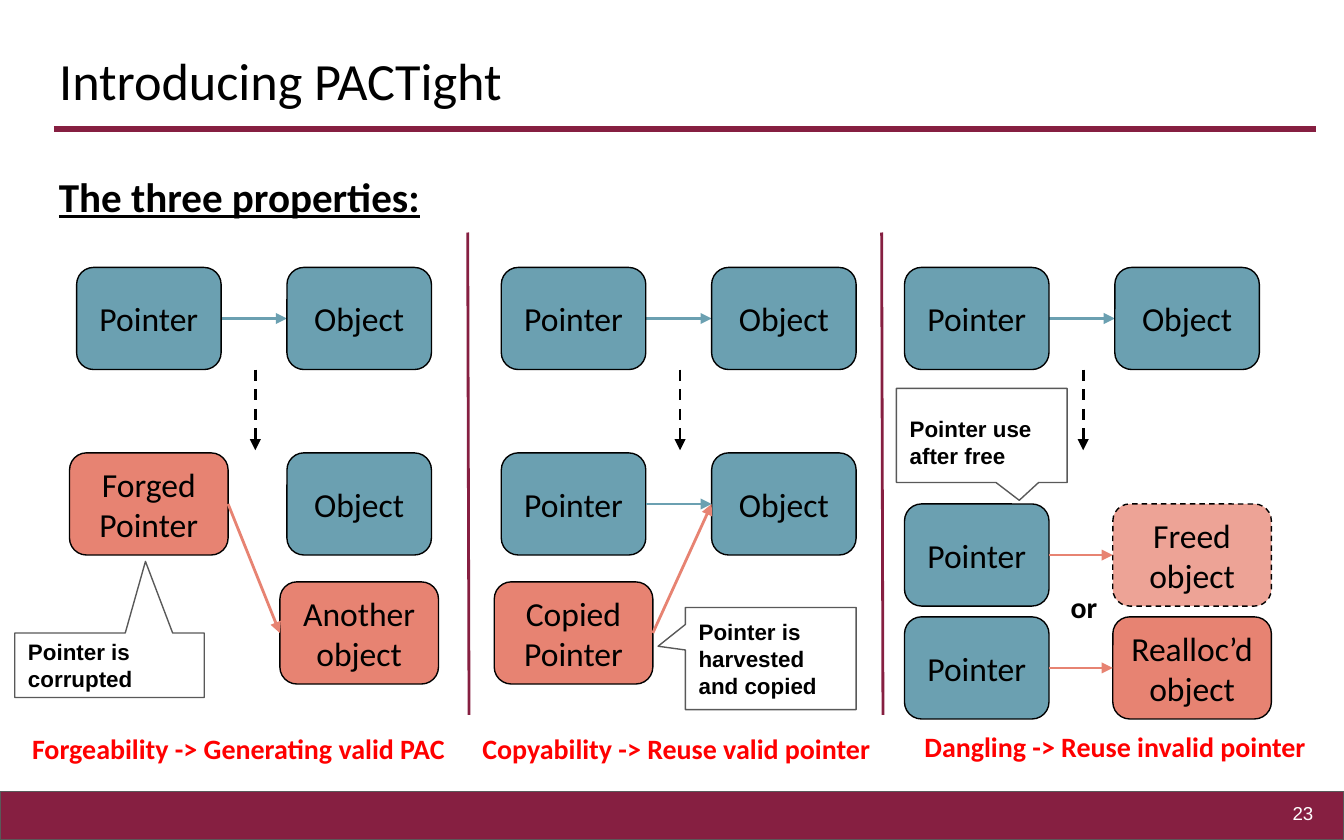
"""Build the slide on the three properties of PACTight."""
from pptx import Presentation
from pptx import util as u
from pptx.dml.color import RGBColor
from pptx.enum import dml, shapes, text
from pptx.oxml.ns import qn
from lxml import etree

MAROON = RGBColor(0x86, 0x1F, 0x41)
TEAL = RGBColor(0x6B, 0xA0, 0xB1)
CORAL = RGBColor(0xE7, 0x83, 0x72)
RED = RGBColor(0xFF, 0x00, 0x00)
GREY = RGBColor(0x59, 0x59, 0x59)
BLACK = RGBColor(0x00, 0x00, 0x00)
WHITE = RGBColor(0xFF, 0xFF, 0xFF)

deck = Presentation()
deck.slide_width, deck.slide_height = u.Inches(10), u.Inches(6.25)
unit = deck.slide_width / 100
slide = deck.slides.add_slide(deck.slide_layouts[5])
canvas = slide.shapes

SIDE_MARGINS = ("margin_left", "margin_top", "margin_right", "margin_bottom")
LEFT, CENTER, RIGHT = text.PP_ALIGN.LEFT, text.PP_ALIGN.CENTER, text.PP_ALIGN.RIGHT
TOP, MIDDLE, BOTTOM = text.MSO_ANCHOR.TOP, text.MSO_ANCHOR.MIDDLE, text.MSO_ANCHOR.BOTTOM


def write(holder, wording, size, color=BLACK, align=LEFT, anchor=TOP, name="Calibri", **font):
    frame = holder.text_frame
    frame.text = wording
    layout = dict.fromkeys(SIDE_MARGINS, round(unit))
    layout.update(word_wrap=True, auto_size=text.MSO_AUTO_SIZE.NONE, vertical_anchor=anchor)
    for key, value in layout.items():
        setattr(frame, key, value)
    paragraph = frame.paragraphs[0]
    paragraph.alignment = align
    for key, value in dict(size=u.Pt(size), name=name, **font).items():
        setattr(paragraph.font, key, value)
    paragraph.font.color.rgb = color
    return paragraph


def connect(x1, y1, x2, y2, color, width=1.5, arrow=True, dash=None):
    ends = [round(value * unit) for value in (x1, y1, x2, y2)]
    link = canvas.add_connector(shapes.MSO_CONNECTOR.STRAIGHT, *ends)
    link.line.color.rgb = color
    link.line.width = u.Pt(width)
    if dash:
        link.line.dash_style = dash
    if arrow:
        etree.SubElement(link.line._get_or_add_ln(), qn("a:tailEnd"), type="triangle")
    etree.SubElement(link._element.spPr, qn("a:effectLst"))


footer = canvas.add_shape(shapes.MSO_SHAPE.RECTANGLE, 0, round(58.9 * unit),
                          deck.slide_width, round(3.6 * unit))
footer.shadow.inherit = False
footer.fill.solid()
footer.fill.fore_color.rgb = MAROON
footer.line.color.rgb = GREY
footer.line.width = u.Pt(0.75)
connect(4, 9.6, 97.9, 9.6, MAROON, 3, arrow=False)

title = canvas.title
for side, share in zip(("left", "top", "width", "height"), (3.4, 2.6, 93.2, 7)):
    setattr(title, side, round(share * unit))
write(title, "Introducing PACTight", 28)

PANELS = FORGE, COPY, DANGLE = 5.7, 37.3, 67.3
OBJECT_STEP, BOX, WIDE, TALL = 15.65, 10.75, 11.8, 7.6
FIRST, SECOND, THIRD = 19.9, 33.7, 43.3
FREED, REUSED = 37.5, 45.9
overhang = (WIDE - BOX) / 2

for panel in PANELS:
    connect(panel + BOX, FIRST + TALL / 2, panel + OBJECT_STEP, FIRST + TALL / 2, TEAL)
    connect(panel + 13.3, 27.5, panel + 13.3, 33.5, BLACK, dash=dml.MSO_LINE.DASH)
for divider in (34.8, 65.6):
    connect(divider, 17.3, divider + 0.1, 53.2, MAROON, arrow=False)

plain_boxes = [(panel, FIRST, "Pointer") for panel in PANELS]
plain_boxes += [(panel + OBJECT_STEP, FIRST, "Object") for panel in PANELS]
plain_boxes += [(panel + OBJECT_STEP, SECOND, "Object") for panel in (FORGE, COPY)]
plain_boxes += [(COPY, SECOND, "Pointer"), (DANGLE, FREED, "Pointer"), (DANGLE, REUSED, "Pointer")]
attack_boxes = [
    (FORGE - overhang, SECOND, "Forged Pointer"),
    (FORGE + OBJECT_STEP - overhang, THIRD, "Another object"),
    (COPY - overhang, THIRD, "Copied Pointer"),
    (DANGLE + 15.5, FREED, "Freed object"),
    (DANGLE + 15.5, REUSED, "Realloc’d object"),
]
for boxes, width, color in ((plain_boxes, BOX, TEAL), (attack_boxes, WIDE, CORAL)):
    for x, y, wording in boxes:
        box = canvas.add_shape(shapes.MSO_SHAPE.ROUNDED_RECTANGLE,
                               *[round(value * unit) for value in (x, y, width, TALL)])
        box.shadow.inherit = False
        box.fill.solid()
        box.fill.fore_color.rgb = color
        box.line.color.rgb = BLACK
        box.line.width = u.Pt(0.75)
        write(box, wording, 18, align=CENTER, anchor=MIDDLE)
        if wording == "Freed object":
            box.line.dash_style = dml.MSO_LINE.DASH
            tint = box._element.spPr.find(qn("a:solidFill"))[0]
            etree.SubElement(tint, qn("a:alpha"), val="74000")

second_middle, third_middle = SECOND + TALL / 2, THIRD + TALL / 2
connect(FORGE + BOX + overhang, second_middle, FORGE + OBJECT_STEP - overhang, third_middle, CORAL)
connect(COPY + BOX + overhang, third_middle, COPY + OBJECT_STEP, second_middle, CORAL)
connect(COPY + BOX, second_middle, COPY + OBJECT_STEP, second_middle, TEAL)
for row in (FREED, REUSED):
    connect(DANGLE + BOX, row + TALL / 2, DANGLE + 15.5, row + TALL / 2, CORAL)

callouts = [
    ((1.1, 47.1, 14.1, 4.8), "Pointer is corrupted", MIDDLE, (0.19, -1.61, 0)),
    ((51, 45.2, 12.7, 7.6), "Pointer is harvested and copied", MIDDLE, (-0.66, -0.12, 0)),
    ((66.7, 28.9, 12.7, 7), "Pointer use after free", BOTTOM, (0.22, 0.69, 0)),
]
for at, wording, anchor, tip in callouts:
    callout = canvas.add_shape(shapes.MSO_SHAPE.ROUNDED_RECTANGULAR_CALLOUT,
                               *[round(value * unit) for value in at])
    for index, value in enumerate(tip):
        callout.adjustments[index] = value
    callout.shadow.inherit = False
    callout.fill.solid()
    callout.fill.fore_color.rgb = WHITE
    callout.line.color.rgb = GREY
    callout.line.width = u.Pt(0.75)
    write(callout, wording, 12, anchor=anchor, name="Arial", bold=True)

summary = dict(size=15, color=RED, bold=True)
labels = [
    ((3.4, 11.2, 93.2, 6), "The three properties:", dict(size=22, bold=True, underline=True)),
    ((1.4, 53.4, 34.6, 4.5), "Forgeability -> Generating valid PAC", summary),
    ((34.9, 53.4, 32.5, 4.5), "Copyability -> Reuse valid pointer", summary),
    ((67.8, 53.3, 32.2, 4.5), "Dangling -> Reuse invalid pointer", summary),
    ((77.1, 42.8, 7.1, 4.7), "or", dict(size=16, align=CENTER, bold=True)),
    ((92.7, 58.1, 6, 4.8), "23",
     dict(size=10, color=WHITE, align=RIGHT, anchor=MIDDLE, name="Arial")),
]
for at, wording, look in labels:
    label = canvas.add_textbox(*[round(value * unit) for value in at])
    paragraph = write(label, wording, **look)
    if look.get("underline"):
        paragraph.line_spacing = 1.15
        paragraph.space_after = u.Pt(12)

deck.save("out.pptx")
